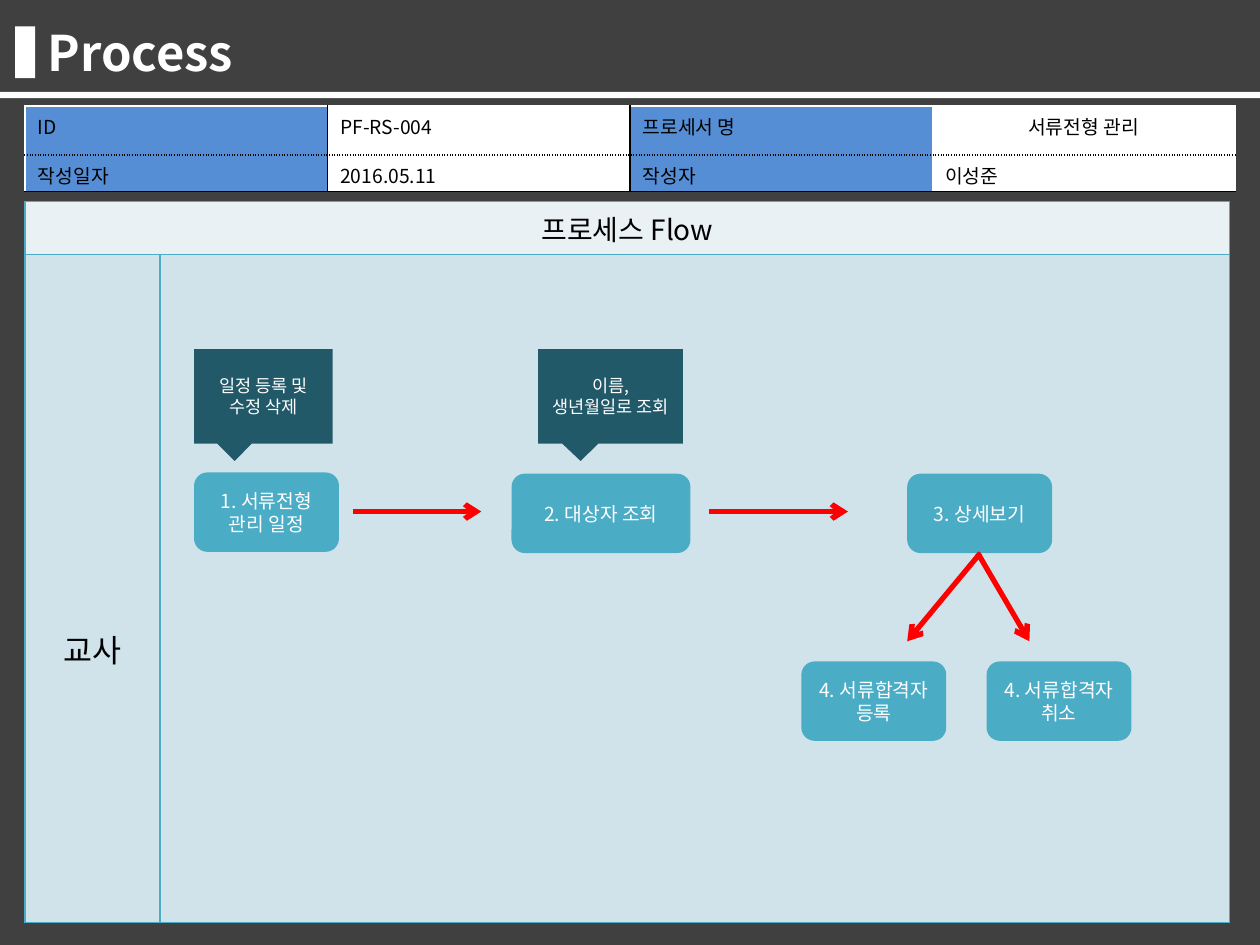
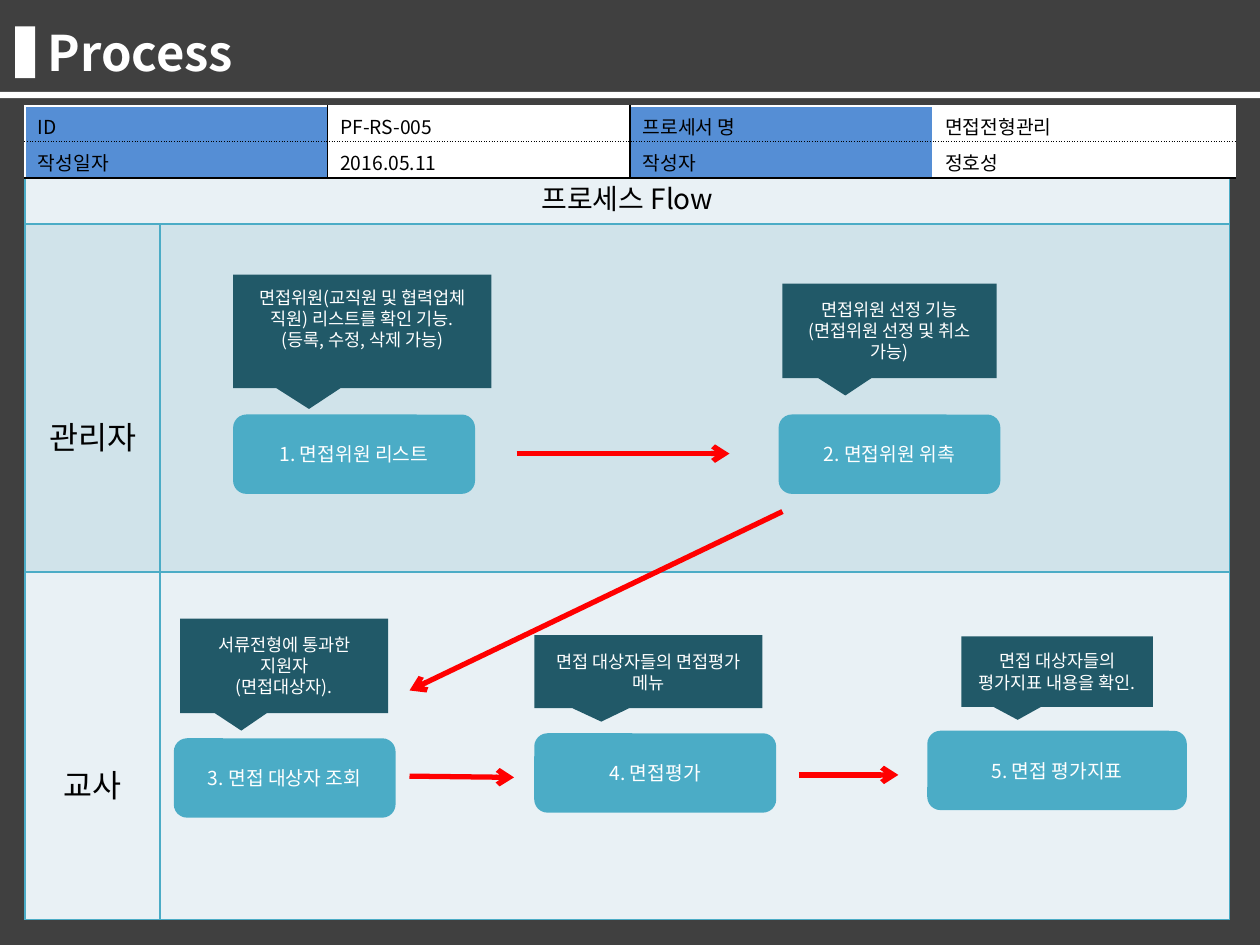
"""Builds two recruiting process-flow slides on a 100 by 75 grid."""
from lxml.etree import SubElement
from pptx import Presentation
from pptx.dml.color import RGBColor
from pptx.enum.shapes import MSO_CONNECTOR, MSO_SHAPE
from pptx.enum.text import MSO_ANCHOR, MSO_AUTO_SIZE, PP_ALIGN
from pptx.oxml import parse_xml
from pptx.oxml.ns import nsdecls, qn
from pptx.util import Inches, Pt

FONT = "Noto Sans CJK KR"
UNIT = Inches(0.1)
COLUMNS, ROWS = 100, 75
WHITE = RGBColor(0xFF, 0xFF, 0xFF)
BLACK = RGBColor(0x00, 0x00, 0x00)
CHARCOAL = RGBColor(0x40, 0x40, 0x40)
LABEL_BLUE = RGBColor(0x55, 0x8E, 0xD5)
TEAL = RGBColor(0x4B, 0xAC, 0xC6)
DARK_TEAL = RGBColor(0x21, 0x59, 0x68)
LANE_DARK = RGBColor(0xD0, 0xE3, 0xEA)
LANE_LIGHT = RGBColor(0xE9, 0xF1, 0xF5)
RED = RGBColor(0xFF, 0x00, 0x00)
STEP_HEIGHT = 6.3
HEADER_HEIGHT = 4.2


def grid(*cells):
    """Turn grid columns and rows into slide lengths."""
    return [round(cell * UNIT) for cell in cells]


def write(frame, lines, size, color, align=PP_ALIGN.CENTER, bold=False):
    """Write one paragraph per line into a text frame."""
    for index, line in enumerate(lines):
        para = frame.paragraphs[0] if index == 0 else frame.add_paragraph()
        para.alignment = align
        span = para.add_run()
        span.text = line
        span.font.name = FONT
        span.font.size = Pt(size)
        span.font.bold = bold
        span.font.color.rgb = color
        SubElement(span.font._element, qn("a:ea"), typeface=FONT)


def add_block(page, kind, place, color):
    """Add a flat filled shape without outline."""
    box = page.shapes.add_shape(kind, *grid(*place))
    box.shadow.inherit = False
    box.fill.solid()
    box.fill.fore_color.rgb = color
    box.line.fill.background()
    return box


def add_label(box, lines, size):
    """Centre white text inside a shape."""
    box.text_frame.word_wrap = True
    box.text_frame.vertical_anchor = MSO_ANCHOR.MIDDLE
    write(box.text_frame, lines, size, WHITE)


def add_step(page, left, top, width, text):
    """Add a rounded process step."""
    place = (left, top, width, STEP_HEIGHT)
    add_label(add_block(page, MSO_SHAPE.ROUNDED_RECTANGLE, place, TEAL), [text], 11)


def add_callout(page, place, *lines, lift=0):
    """Add a dark callout that points down to its step."""
    box = add_block(page, MSO_SHAPE.RECTANGULAR_CALLOUT, place, DARK_TEAL)
    box.adjustments[0] = -0.206
    box.adjustments[1] = 0.685
    add_label(box, lines, 10)
    box.text_frame.margin_bottom = grid(0.5 + lift)[0]


def add_arrow(page, start, end):
    """Add a red arrow between two grid points."""
    arrow = page.shapes.add_connector(MSO_CONNECTOR.STRAIGHT, *grid(*start, *end))
    arrow.line.color.rgb = RED
    arrow.line.width = Pt(3)
    SubElement(arrow.line._get_or_add_ln(), qn("a:tailEnd"), type="arrow")
    SubElement(arrow._element.spPr, qn("a:effectLst"))


def add_plain_table(page, left, top, widths, heights):
    """Add a table without banding, sized by its columns and rows."""
    place = grid(left, top, sum(widths), sum(heights))
    table = page.shapes.add_table(len(heights), len(widths), *place).table
    table.first_row = table.horz_banding = False
    for column, width in zip(table.columns, grid(*widths)):
        column.width = width
    for row, height in zip(table.rows, grid(*heights)):
        row.height = height
    return table


def style_cell(cell, color, borders):
    """Fill a cell and draw its left, right, top and bottom borders."""
    cell.fill.solid()
    cell.fill.fore_color.rgb = color
    for index, (side, (line, dash)) in enumerate(zip("LRTB", borders)):
        cell._tc.get_or_add_tcPr().insert(index, parse_xml(
            f'<a:ln{side} {nsdecls("a")} w="12700"><a:solidFill>'
            f'<a:srgbClr val="{line}"/></a:solidFill>'
            f'<a:prstDash val="{dash}"/></a:ln{side}>'))


def add_info_table(page, heights, code, name, author, name_align=PP_ALIGN.LEFT):
    """Add the table that identifies the process."""
    table = add_plain_table(page, 2, 8.4, [24] * 4, heights)
    texts = [["ID", code, "프로세서 명", name],
             ["작성일자", "2016.05.11", "작성자", author]]
    uprights = [(color, "solid") for color in (WHITE, BLACK, BLACK, WHITE, WHITE)]
    levels = [(WHITE, "solid"), (BLACK, "sysDot"), (BLACK, "solid")]
    for row, line in enumerate(texts):
        for column, text in enumerate(line):
            cell = table.cell(row, column)
            borders = uprights[column:column + 2] + levels[row:row + 2]
            style_cell(cell, WHITE if column % 2 else LABEL_BLUE, borders)
            align = name_align if text == name else PP_ALIGN.LEFT
            write(cell.text_frame, [text], 11, BLACK, align)


def add_lanes(page, top, lane_height, label_drop, roles):
    """Add the flow table with one lane per role."""
    heights = [HEADER_HEIGHT] + [lane_height] * len(roles)
    table = add_plain_table(page, 2, top, [10.7, 84.9], heights)
    for row in range(len(heights)):
        for column in range(2):
            color = LANE_DARK if row % 2 else LANE_LIGHT
            style_cell(table.cell(row, column), color, [(TEAL, "solid")] * 4)
    table.cell(0, 0).merge(table.cell(0, 1))
    write(table.cell(0, 0).text_frame, ["프로세스 Flow"], 16, BLACK)
    for row, role in enumerate(roles, 1):
        cell = table.cell(row, 0)
        cell.margin_top = grid(label_drop)[0]
        write(cell.text_frame, [role], 18, BLACK)


def add_page(deck):
    """Add a slide with the shared backdrop, title and bands."""
    page = deck.slides.add_slide(deck.slide_layouts[5])
    backdrop = add_block(page, MSO_SHAPE.RECTANGLE, (0, 0, COLUMNS, ROWS), CHARCOAL)
    page.shapes._spTree.insert(2, backdrop._element)
    title = page.shapes.title
    title.left, title.top, title.width, title.height = grid(2.8, 1.3, 89.8, 5.7)
    title.text_frame.auto_size = MSO_AUTO_SIZE.SHAPE_TO_FIT_TEXT
    title.text_frame.vertical_anchor = MSO_ANCHOR.MIDDLE
    write(title.text_frame, ["Process"], 28, WHITE, PP_ALIGN.LEFT, bold=True)
    for place in ((1.2, 2.1, 1.6, 4.1), (0, 7.3, COLUMNS, 0.5)):
        add_block(page, MSO_SHAPE.RECTANGLE, place, WHITE)
    return page


def build_screening(deck):
    """Build the document screening flow."""
    page = add_page(deck)
    add_lanes(page, 16, 53, 29.5, ["교사"])
    add_info_table(page, [3.9, 2.9], "PF-RS-004", "서류전형 관리", "이성준",
                   PP_ALIGN.CENTER)
    for left, top, width, text in (
            (15.4, 37.5, 11.5, "1. 서류전형 관리 일정"),
            (40.6, 37.6, 14.2, "2. 대상자 조회"),
            (72, 37.6, 11.5, "3. 상세보기"),
            (63.6, 52.5, 11.5, "4. 서류합격자 등록"),
            (78.3, 52.5, 11.5, "4. 서류합격자 취소")):
        add_step(page, left, top, width, text)
    add_callout(page, (15.4, 27.7, 11, 7.5), "일정 등록 및 수정 삭제")
    add_callout(page, (42.7, 27.7, 11.5, 7.5), "이름, 생년월일로 조회")
    for start, end in (
            ((28, 40.6), (38.2, 40.6)),
            ((56.3, 40.6), (67.3, 40.6)),
            ((77.8, 43.9), (72, 50.9)),
            ((77.6, 43.9), (81.7, 50.9))):
        add_arrow(page, start, end)


def build_interview(deck):
    """Build the interview flow."""
    page = add_page(deck)
    add_lanes(page, 13.6, 27.6, 15, ["관리자", "교사"])
    add_info_table(page, [2.8, 2.9], "PF-RS-005", "면접전형관리", "정호성")
    for left, top, width, text in (
            (18.5, 32.9, 19.2, "1. 면접위원 리스트"),
            (61.8, 32.9, 17.6, "2. 면접위원 위촉"),
            (13.8, 58.6, 17.6, "3. 면접 대상자 조회"),
            (42.4, 58.2, 19.2, "4. 면접평가"),
            (73.6, 58, 20.6, "5. 면접 평가지표")):
        add_step(page, left, top, width, text)
    add_callout(page, (18.5, 21.8, 20.5, 9),
                "면접위원(교직원 및 협력업체 직원) 리스트를 확인 기능.",
                "(등록, 수정, 삭제 가능)", lift=2)
    add_callout(page, (62.1, 22.5, 17, 7.5),
                "면접위원 선정 기능", "(면접위원 선정 및 취소 가능)")
    add_callout(page, (14.3, 49.1, 16.5, 7.5),
                "서류전형에 통과한 지원자", "(면접대상자).")
    add_callout(page, (42.4, 50.4, 18.1, 5.8), "면접 대상자들의 면접평가 메뉴")
    add_callout(page, (76.3, 50.5, 15.2, 5.6), "면접 대상자들의 평가지표 내용을 확인.")
    for start, end in (
            ((41, 36), (57.9, 36)),
            ((62.1, 40.6), (32.5, 54.8)),
            ((32.5, 61.6), (40.8, 61.7)),
            ((63.4, 61.5), (71.3, 61.5))):
        add_arrow(page, start, end)


def main():
    """Build and save the deck."""
    deck = Presentation()
    deck.slide_width, deck.slide_height = grid(COLUMNS, ROWS)
    build_screening(deck)
    build_interview(deck)
    deck.save("out.pptx")


main()
